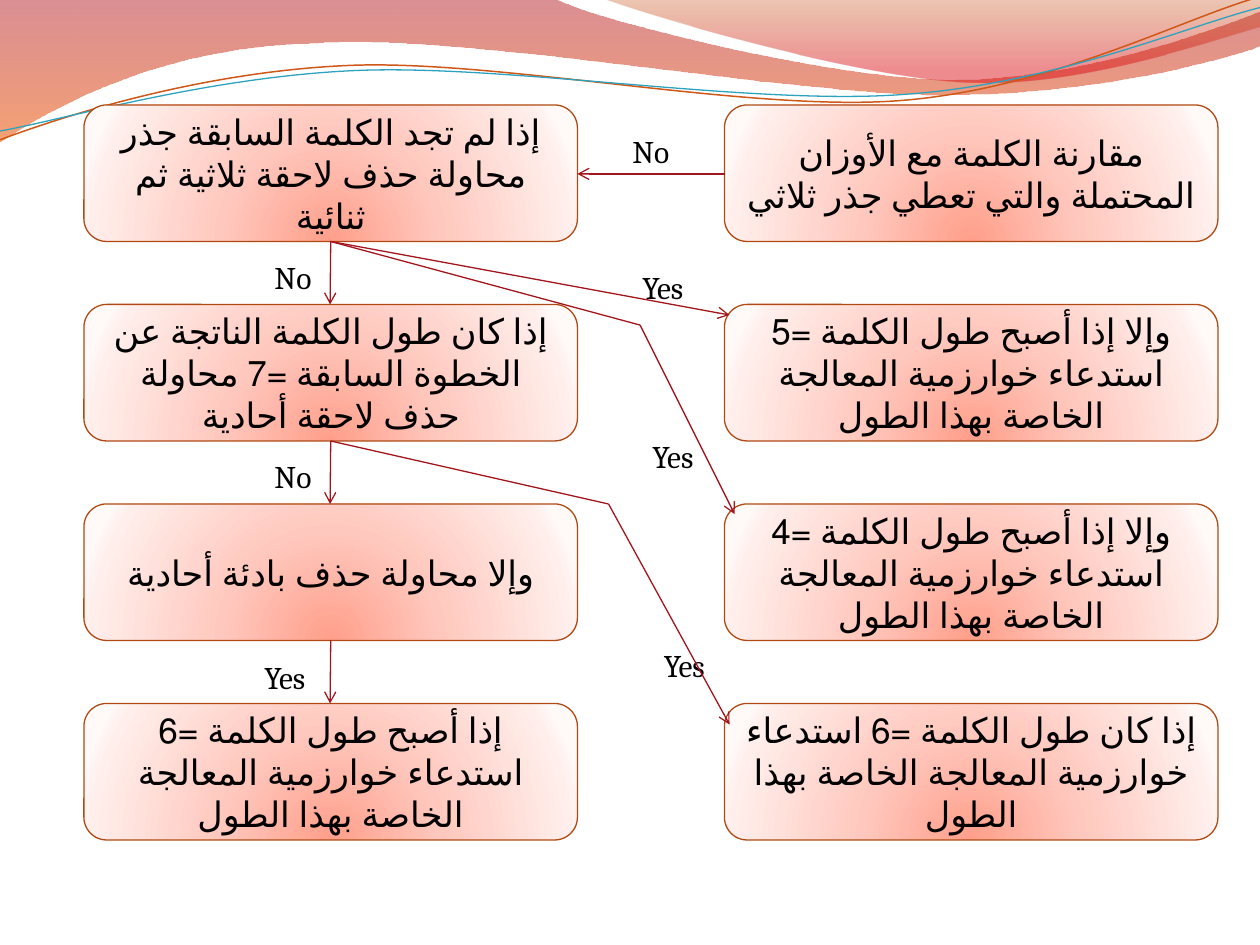
from dataclasses import dataclass
from typing import Any

from lxml import etree
from pptx import Presentation, util as u
from pptx.dml.color import RGBColor
from pptx.enum import lang, shapes, text
from pptx.oxml import ns

GRID = 1 / 12
LEFT_COL, RIGHT_COL = 8 * GRID, 69 * GRID
STEP_W, STEP_H, GAP = 47 * GRID, 13 * GRID, 6 * GRID
FIRST_TOP = 10 * GRID
ARROW_RED, STEP_EDGE, INK = "A3151C", "B04912", "000000"
STEP_STOPS = [(0, "FF9F8B", 100), (43, "FFC8BE", 100), (93, "FFEEEB", 100), (100, "FFF9F8", 100)]


@dataclass
class Wave:
    """A header band or line: pairs are corners, sixes are cubic curves."""
    start: tuple
    segments: list
    stops: tuple = ()
    edge: str = ""
    width: float = 0


@dataclass
class Step:
    """One box of the flowchart."""
    col: float
    row: int
    wording: str


@dataclass
class Answer:
    """A Yes or No beside an arrow."""
    wording: str
    left: float
    top: float


WAVES = [
    Wave((0, 0), [(4.4, -0.01), (4.76, 0.17, 6.64, 0.63, 7.58, 0.63),
                  (8.53, 0.63, 9.58, 0.26, 10, 0.09), (10.01, 0.36),
                  (9.83, 0.44, 8.7, 0.76, 7.46, 0.75), (6.22, 0.75, 3.82, 0.28, 2.57, 0.34),
                  (1.29, 0.36, 0.46, 0.83, -0.01, 1.13)],
         stops=((0, "AF0911", 45), (100, "EE5300", 55))),
    Wave((4.79, -0.01), [(5.09, 0.11, 6.82, 0.62, 7.69, 0.65),
                         (8.56, 0.69, 9.61, 0.32, 10, 0.21), (10, 0)],
         stops=((0, "C24400", 30), (80, "DC000B", 45))),
    Wave((0, 1.11), [(0.48, 0.93, 1.58, 0.57, 2.77, 0.52), (3.95, 0.47, 5.93, 0.89, 7.13, 0.8),
                     (8.33, 0.71, 9.38, 0.15, 9.98, -0.02)], edge="CF5818", width=0.85),
    Wave((0, 1.04), [(0.47, 0.96, 1.64, 0.61, 2.83, 0.56), (4.03, 0.51, 5.97, 0.84, 7.17, 0.75),
                     (8.36, 0.67, 9.41, 0.21, 10, 0.06)], edge="2DA2BF", width=0.75),
]

STEPS = [
    Step(RIGHT_COL, 3, "إذا كان طول الكلمة =6 استدعاء خوارزمية المعالجة الخاصة بهذا الطول"),
    Step(LEFT_COL, 3, "إذا أصبح طول الكلمة =6 استدعاء خوارزمية المعالجة الخاصة بهذا الطول"),
    Step(RIGHT_COL, 2, "وإلا إذا أصبح طول الكلمة =4 استدعاء خوارزمية المعالجة الخاصة بهذا الطول"),
    Step(LEFT_COL, 2, "وإلا محاولة حذف بادئة أحادية"),
    Step(RIGHT_COL, 1, "وإلا إذا أصبح طول الكلمة =5 استدعاء خوارزمية المعالجة الخاصة بهذا الطول"),
    Step(LEFT_COL, 1, "إذا كان طول الكلمة الناتجة عن الخطوة السابقة =7 محاولة حذف لاحقة أحادية"),
    Step(LEFT_COL, 0, "إذا لم تجد الكلمة السابقة جذر محاولة حذف لاحقة ثلاثية ثم ثنائية"),
    Step(RIGHT_COL, 0, "مقارنة الكلمة مع الأوزان المحتملة والتي تعطي جذر ثلاثي"),
]

ANSWERS = [
    Answer("Yes", 5, 2.08), Answer("Yes", 5.08, 3.42), Answer("Yes", 2, 5.17),
    Answer("No", 2.08, 3.58), Answer("No", 2.08, 2), Answer("No", 4.92, 1),
    Answer("Yes", 5.17, 5.08),
]


def row_top(row: int) -> float:
    """Top of a flowchart row in inches."""
    return FIRST_TOP + row * (STEP_H + GAP)


def colour(value: str) -> RGBColor:
    """Turn a hex string into a colour."""
    return RGBColor.from_string(value)


def apply(target: Any, values: dict) -> None:
    """Set each format value on the target."""
    for key, value in values.items():
        setattr(target, key, value)


def add_node(parent: Any, tag: str, **attributes: Any) -> Any:
    """Append a DrawingML element."""
    return etree.SubElement(parent, ns.qn(tag), {k: str(v) for k, v in attributes.items()})


def fill_gradient(shape: Any, stops: Any, radial: bool) -> None:
    """Give the shape a radial or a top-to-bottom gradient."""
    shape.fill.background()
    properties = shape.element.spPr
    gradient = etree.Element(ns.qn("a:gradFill"), {"rotWithShape": "1"})
    stop_list = add_node(gradient, "a:gsLst")
    for position, value, alpha in stops:
        stop = add_node(stop_list, "a:gs", pos=position * 1000)
        tint = add_node(stop, "a:srgbClr", val=value)
        if alpha < 100:
            add_node(tint, "a:alpha", val=alpha * 1000)
    if radial:
        circle = add_node(gradient, "a:path", path="circle")
        add_node(circle, "a:fillToRect", l=50000, t=130000, r=50000, b=-30000)
    else:
        add_node(gradient, "a:lin", ang=5400000, scaled=1)
    properties.replace(properties.find(ns.qn("a:noFill")), gradient)


def bend(outline: Any, segments: list) -> None:
    """Turn each run of three vertices that describes a curve into a cubic."""
    vertices = iter(list(outline.iter(ns.qn("a:lnTo"))))
    for segment in segments:
        group = [next(vertices) for _ in range(len(segment) // 2)]
        if len(group) == 3:
            curve = etree.Element(ns.qn("a:cubicBezTo"))
            group[0].addprevious(curve)
            for vertex in group:
                curve.append(vertex[0])
                vertex.getparent().remove(vertex)


def draw_wave(slide: Any, wave: Wave) -> None:
    """Draw one wave of the header."""
    points = [(u.Inches(s[i]), u.Inches(s[i + 1]))
              for s in wave.segments for i in range(0, len(s), 2)]
    builder = slide.shapes.build_freeform(*(u.Inches(v) for v in wave.start))
    builder.add_line_segments(points, close=bool(wave.stops))
    band = builder.convert_to_shape()
    bend(band.element.spPr, wave.segments)
    band.shadow.inherit = False
    if wave.stops:
        fill_gradient(band, wave.stops, radial=False)
        band.line.fill.background()
    else:
        band.fill.background()
        band.line.color.rgb = colour(wave.edge)
        band.line.width = u.Pt(wave.width)


def write(frame: Any, wording: str, **font: Any) -> Any:
    """Write black text and return its paragraph."""
    frame.word_wrap = True
    paragraph = frame.paragraphs[0]
    run = paragraph.add_run()
    run.text = wording
    apply(run.font, {"name": "Cambria", **font})
    run.font.color.rgb = colour(INK)
    return paragraph


def draw_step(slide: Any, step: Step) -> None:
    """Draw one rounded box with right-to-left text."""
    box = slide.shapes.add_shape(
        shapes.MSO_SHAPE.ROUNDED_RECTANGLE, u.Inches(step.col), u.Inches(row_top(step.row)),
        u.Inches(STEP_W), u.Inches(STEP_H))
    fill_gradient(box, STEP_STOPS, radial=True)
    box.line.color.rgb = colour(STEP_EDGE)
    box.line.width = u.Pt(0.75)
    box.shadow.inherit = False
    box.text_frame.vertical_anchor = text.MSO_ANCHOR.MIDDLE
    paragraph = write(box.text_frame, step.wording, size=u.Pt(20),
                      language_id=lang.MSO_LANGUAGE_ID.ARABIC_SYRIA)
    paragraph.alignment = text.PP_ALIGN.CENTER
    paragraph._p.get_or_add_pPr().set("rtl", "1")


def draw_answer(slide: Any, answer: Answer) -> None:
    """Place a Yes or No label."""
    label = slide.shapes.add_textbox(u.Inches(answer.left), u.Inches(answer.top),
                                     u.Inches(0.67), u.Inches(0.4))
    write(label.text_frame, answer.wording, size=u.Pt(18))
    label.text_frame.auto_size = text.MSO_AUTO_SIZE.SHAPE_TO_FIT_TEXT


def draw_route(slide: Any, *points: tuple) -> None:
    """Join the points with lines; the last one carries the arrowhead."""
    for i, (begin, end) in enumerate(zip(points, points[1:]), start=2):
        line = slide.shapes.add_connector(shapes.MSO_CONNECTOR.STRAIGHT,
                                          *(u.Inches(v) for v in begin + end))
        line.line.color.rgb = colour(ARROW_RED)
        line.line.width = u.Pt(0.75)
        properties = line.element.spPr
        if i == len(points):
            add_node(properties.find(ns.qn("a:ln")), "a:tailEnd", type="arrow")
        add_node(properties, "a:effectLst")


deck = Presentation()
apply(deck, {"slide_width": u.Inches(10), "slide_height": u.Inches(7.5)})
flowchart = deck.slides.add_slide(deck.slide_layouts[6])
for item in WAVES:
    draw_wave(flowchart, item)
for item in STEPS:
    draw_step(flowchart, item)
for item in ANSWERS:
    draw_answer(flowchart, item)

middle = LEFT_COL + STEP_W / 2
exits = [(middle, row_top(row) + STEP_H) for row in range(3)]
for x, y in exits:
    draw_route(flowchart, (x, y), (2.62, y + GAP))
draw_route(flowchart, (RIGHT_COL, 1.38), (LEFT_COL + STEP_W, 1.38))
draw_route(flowchart, exits[0], (5.79, 2.5))
draw_route(flowchart, exits[0], (5.08, 2.58), (5.83, 4.08))
draw_route(flowchart, exits[1], (4.83, 4), (5.79, 5.75))
deck.save("out.pptx")
